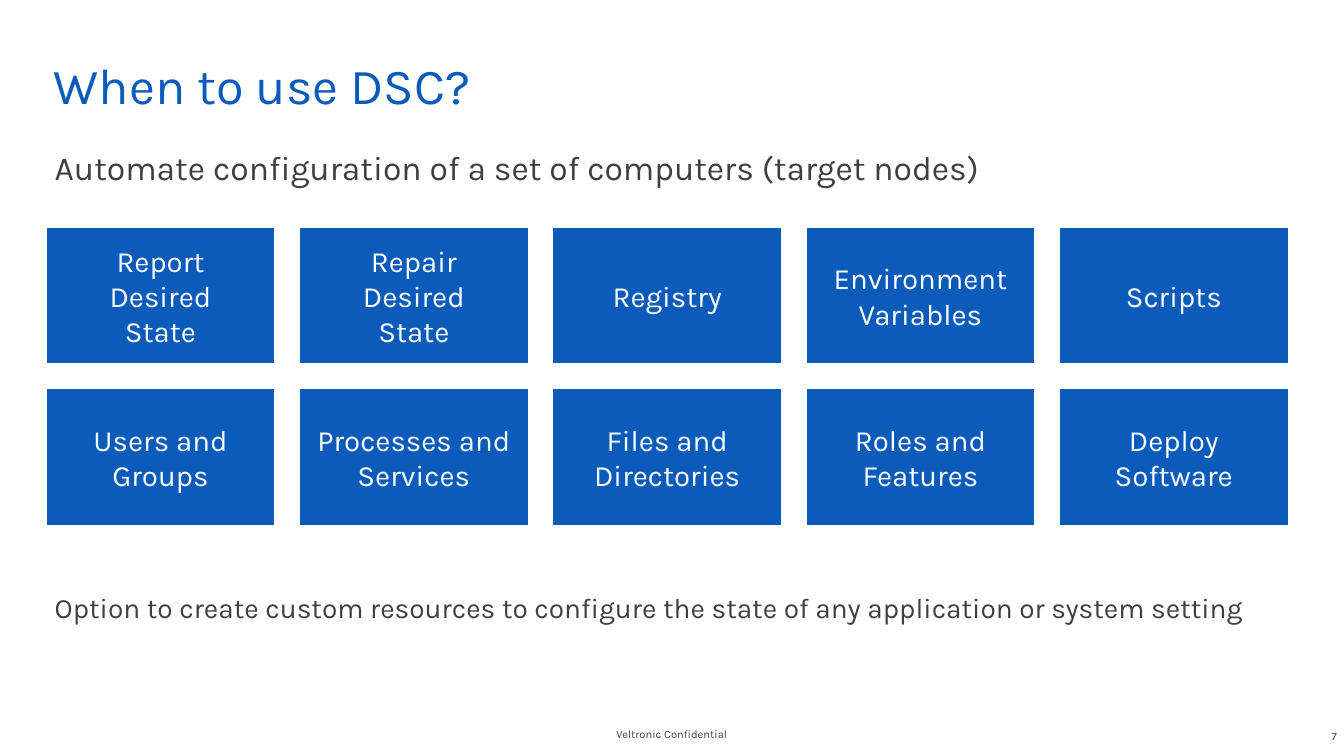
from pptx import Presentation
from pptx.dml.color import RGBColor
from pptx.enum import shapes, text
from pptx.util import Pt

FONT = "Karla"
COLORS = {"blue": "0A5BBA", "grey": "3F3F3F", "white": "FFFFFF"}

TITLE = "When to use DSC?"
INTRO = "Automate configuration of a set of computers (target nodes)"
CLOSING = ("Option to create custom resources to configure the state "
           "of any application or system setting")
FOOTER = "Veltronic Confidential"
PAGE_NUMBER = "7"
USES = [
    [["Report", "Desired", "State"], ["Repair", "Desired", "State"],
     ["Registry"], ["Environment Variables"], ["Scripts"]],
    [["Users and", "Groups"], ["Processes and Services"],
     ["Files and", "Directories"], ["Roles and", "Features"],
     ["Deploy", "Software"]],
]

GRID_LEFT, GRID_TOP = 32.4, 162
TILE_WIDTH, TILE_HEIGHT = 164.5, 98.7
GAP_X, GAP_Y = 16.45, 16.5


def color(name):
    """Return the named colour."""
    return RGBColor.from_string(COLORS[name])


def write(box, lines, size=24, fill="grey", align="LEFT", anchor="TOP",
          insets=(7.2, 3.6, 7.2, 3.6), before=0):
    """Write one paragraph per line into a box or shape."""
    frame = box.text_frame
    frame.word_wrap = True
    frame.vertical_anchor = text.MSO_ANCHOR[anchor]
    (frame.margin_left, frame.margin_top,
     frame.margin_right, frame.margin_bottom) = map(Pt, insets)
    for index, line in enumerate(lines):
        para = frame.add_paragraph() if index else frame.paragraphs[0]
        para.alignment = text.PP_ALIGN[align]
        para.space_before = Pt(before)
        span = para.add_run()
        span.text = line
        span.font.name = FONT
        span.font.size = Pt(size)
        span.font.color.rgb = color(fill)


def add_text(page, place, line, **style):
    """Add a text box at (left, top, width, height)."""
    write(page.shapes.add_textbox(*map(Pt, place)), [line], **style)


def add_tile(page, row, column, lines):
    """Add one tile at its place in the grid."""
    left = GRID_LEFT + column * (TILE_WIDTH + GAP_X)
    top = GRID_TOP + row * (TILE_HEIGHT + GAP_Y)
    tile = page.shapes.add_shape(
        shapes.MSO_SHAPE.RECTANGLE,
        *map(Pt, (left, top, TILE_WIDTH, TILE_HEIGHT)))
    tile.shadow.inherit = False
    tile.fill.solid()
    tile.fill.fore_color.rgb = color("blue")
    tile.line.color.rgb = color("white")
    tile.line.width = Pt(2)
    write(tile, lines, size=21, fill="white", align="CENTER",
          anchor="MIDDLE", insets=(6.3,) * 4)


deck = Presentation()
deck.slide_width, deck.slide_height = Pt(960), Pt(540)
page = deck.slides.add_slide(deck.slide_layouts[6])

add_text(page, (24, 24, 888, 54), TITLE, size=36, fill="blue",
         insets=(14.4, 14.4, 7.2, 0))
add_text(page, (32, 101.5, 914, 40), INTRO, before=3)
add_text(page, (32, 418.5, 914, 36), CLOSING, size=20, before=3)
for row, uses in enumerate(USES):
    for column, lines in enumerate(uses):
        add_tile(page, row, column, lines)

small = dict(size=8, anchor="MIDDLE", insets=(14.4, 3.6, 14.4, 3.6))
add_text(page, (368, 510, 224, 28.8), FOOTER, align="CENTER", **small)
add_text(page, (736, 511, 224, 28.8), PAGE_NUMBER, align="RIGHT",
         **{**small, "insets": (14.4, 3.6, 5, 3.6)})

deck.save("out.pptx")
